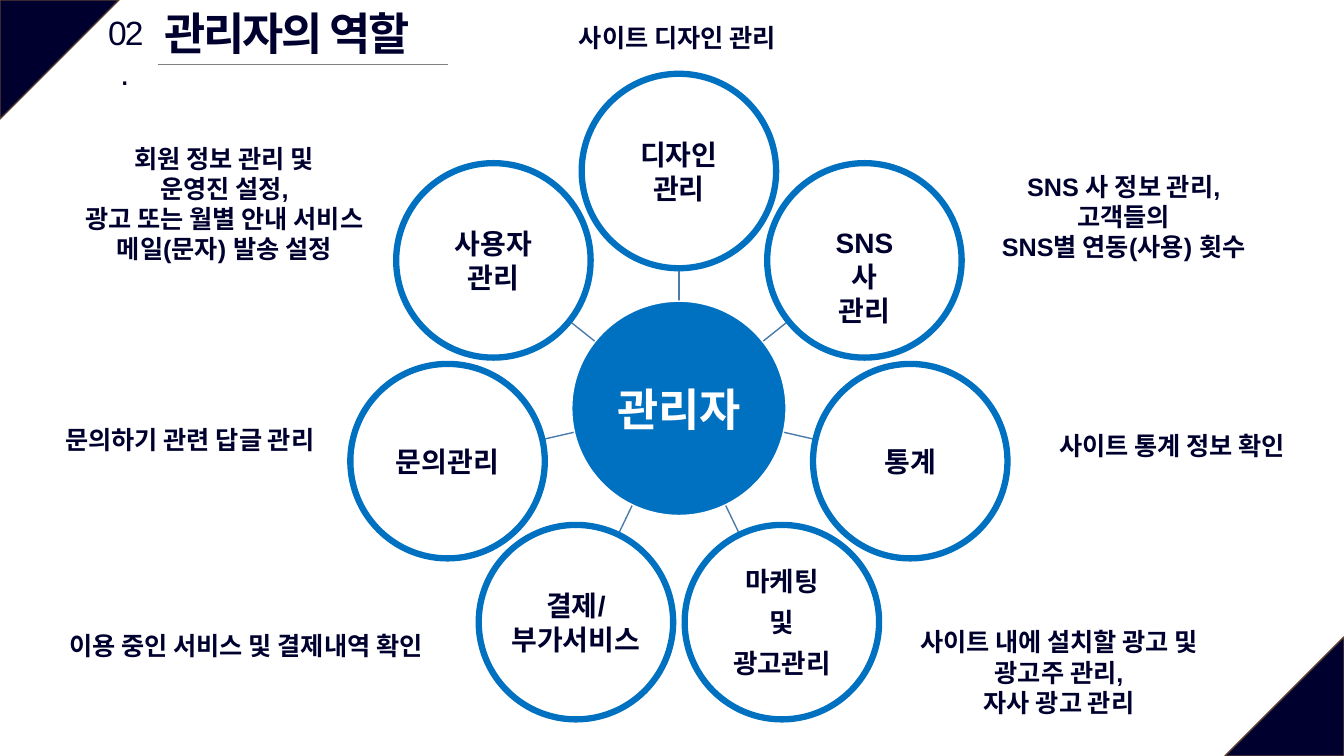
"""Build the slide on the administrator's roles as a hub with seven circles."""
from math import cos, radians, sin

from lxml.etree import SubElement
from pptx import Presentation
from pptx.dml.color import RGBColor
from pptx.enum.shapes import MSO_CONNECTOR as Connector, MSO_SHAPE as Shape
from pptx.enum.text import MSO_ANCHOR as Anchor, PP_ALIGN as Align
from pptx.oxml.ns import qn
from pptx.util import Cm, Pt

NAVY = RGBColor(0x00, 0x00, 0x2F)
BROWN = RGBColor(0x5B, 0x3F, 0x33)
GRAY = RGBColor(0x80, 0x80, 0x80)
BLUE = RGBColor(0x00, 0x70, 0xC0)
STEEL = RGBColor(0x49, 0x7C, 0xAB)
WHITE = RGBColor(0xFF, 0xFF, 0xFF)

TITLE = "관리자의 역할"
NUMBER = "02."
HUB = "관리자"
ROLES = [
    {"lines": ["디자인", "관리"]},
    {"lines": ["SNS\v사", "관리"], "drop": 0.8},
    {"lines": ["통계"]},
    {"lines": ["마케팅", "및", "광고관리"], "size": 19, "after": 6.5},
    {"lines": ["결제/", "부가서비스"]},
    {"lines": ["문의관리"]},
    {"lines": ["사용자", "관리"]},
]
NOTES = [
    (14.02, 0.43, 6.1, ["사이트 디자인 관리"]),
    (24.74, 4.19, 7.16, ["SNS 사 정보 관리,", "고객들의", "SNS별 연동(사용) 횟수"]),
    (26.06, 10.72, 6.96, ["사이트 통계 정보 확인"]),
    (22.45, 15.67, 8.48, ["사이트 내에 설치할 광고 및", "광고주 관리,", "자사 광고 관리"]),
    (0.89, 15.75, 10.62, ["이용 중인 서비스 및 결제내역 확인"]),
    (0.99, 10.57, 7.59, ["문의하기 관련 답글 관리"]),
    (1.17, 3.48, 8.97, ["회원 정보 관리 및", "운영진 설정,",
                        "광고 또는 월별 안내 서비스", "메일(문자) 발송 설정"]),
]

WIDTH, HEIGHT = 33.87, 19.05
CORNER = 3.0
CENTER_X, CENTER_Y = 17.11, 10.29
HUB_RADIUS, ROLE_RADIUS, ORBIT = 2.7, 2.45, 5.98
SPOKE_END = ORBIT - ROLE_RADIUS
LINE_HEIGHT = 0.76


def write(shape, lines, size, color=NAVY, bold=True, align=Align.CENTER,
          after=0, tracking=None, **frame_format):
    frame = shape.text_frame
    for name, value in ({"word_wrap": True} | frame_format).items():
        setattr(frame, name, value)
    frame.text = "\n".join(lines)
    for para in frame.paragraphs:
        para.alignment = align
        para.space_after = Pt(after)
        for span in para.runs:
            font = {"name": "Arial", "size": Pt(size), "bold": bold}
            for name, value in font.items():
                setattr(span.font, name, value)
            span.font.color.rgb = color
            if tracking:
                span._r.get_or_add_rPr().set("spc", str(tracking))


def add_box(left, top, width, height):
    return page.shapes.add_textbox(Cm(left), Cm(top), Cm(width), Cm(height))


def add_figure(kind, left, top, size, fill, edge, weight):
    figure = page.shapes.add_shape(kind, Cm(left), Cm(top), Cm(size), Cm(size))
    figure.shadow.inherit = False
    figure.fill.solid()
    figure.fill.fore_color.rgb = fill
    figure.line.color.rgb = edge
    figure.line.width = Pt(weight)
    return figure


def add_circle(x, y, radius, fill, edge, weight):
    return add_figure(Shape.OVAL, x - radius, y - radius, 2 * radius,
                      fill, edge, weight)


def add_line(start, end, color, weight):
    line = page.shapes.add_connector(
        Connector.STRAIGHT, *(Cm(value) for value in (*start, *end)))
    line.line.color.rgb = color
    line.line.width = Pt(weight)
    SubElement(line._element.spPr, qn("a:effectLst"))


def on_orbit(index, radius):
    angle = radians(360 / len(ROLES) * index - 90)
    return CENTER_X + radius * cos(angle), CENTER_Y + radius * sin(angle)


deck = Presentation()
deck.slide_width, deck.slide_height = Cm(WIDTH), Cm(HEIGHT)
page = deck.slides.add_slide(deck.slide_layouts[5])

for left, top, turn in [(0, 0, 90), (WIDTH - CORNER, HEIGHT - CORNER, 270)]:
    corner = add_figure(Shape.RIGHT_TRIANGLE, left, top, CORNER, NAVY, BROWN, 1)
    corner.rotation = turn

title = page.shapes.title
title_place = {"left": 3.89, "top": 0, "width": 7.39, "height": 1.63}
for name, value in title_place.items():
    setattr(title, name, Cm(value))
write(title, [TITLE], 32, align=Align.LEFT, tracking=-150,
      vertical_anchor=Anchor.MIDDLE)
add_line((3.99, 1.63), (11.28, 1.63), GRAY, 0.5)
write(add_box(2.41, 0.18, 1.47, 1.27), [NUMBER], 24, bold=False, tracking=-150)

for index in range(len(ROLES)):
    add_line(on_orbit(index, HUB_RADIUS), on_orbit(index, SPOKE_END), STEEL, 1)

hub = add_circle(CENTER_X, CENTER_Y, HUB_RADIUS, BLUE, WHITE, 1)
write(hub, [HUB], 32, WHITE, vertical_anchor=Anchor.MIDDLE)

for index, role in enumerate(ROLES):
    circle = add_circle(*on_orbit(index, ORBIT), ROLE_RADIUS, WHITE, BLUE, 4.5)
    write(circle, role["lines"], role.get("size", 20),
          after=role.get("after", 0), vertical_anchor=Anchor.MIDDLE,
          margin_left=0, margin_right=0, margin_bottom=0,
          margin_top=Cm(role.get("drop", 0)))

for left, top, width, lines in NOTES:
    note = add_box(left, top, width, 0.26 + LINE_HEIGHT * len(lines))
    write(note, lines, 18)

deck.save("out.pptx")
